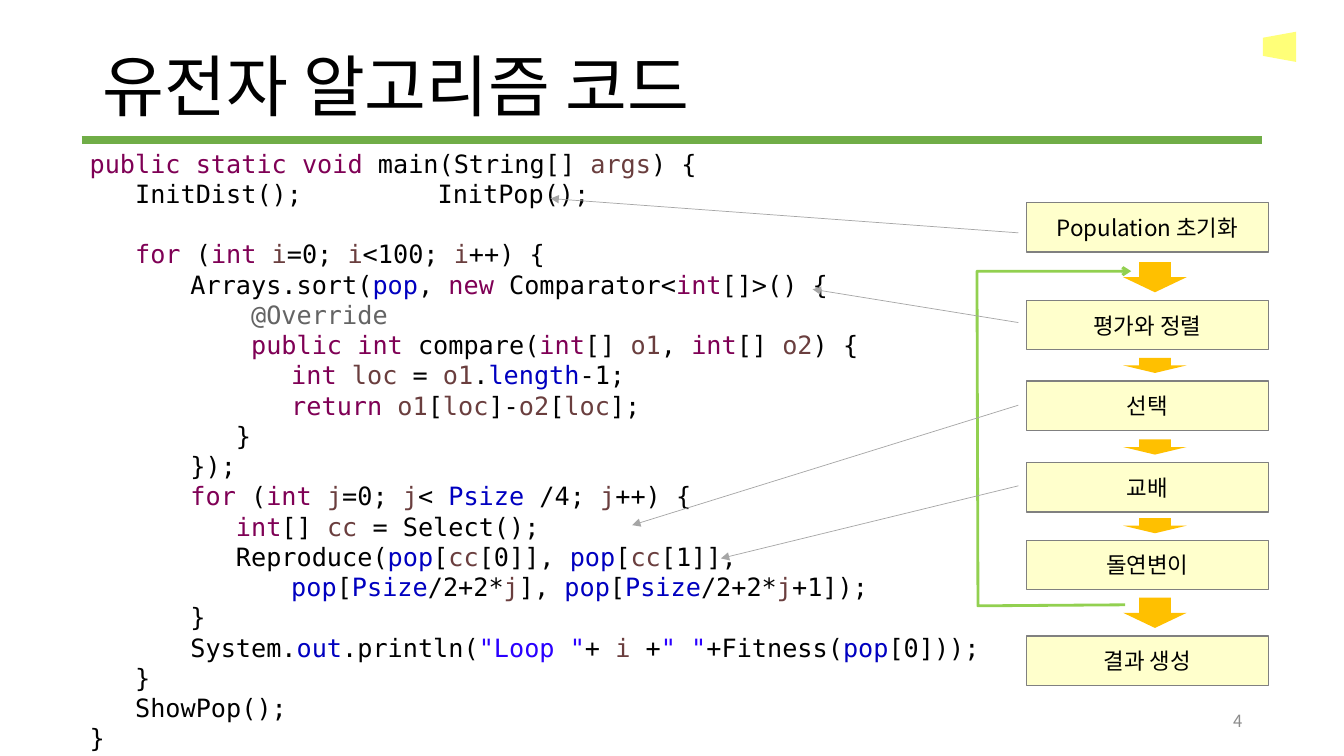
from lxml import etree
from pptx import Presentation
from pptx.dml.color import RGBColor
from pptx.enum.shapes import MSO_CONNECTOR, MSO_SHAPE
from pptx.enum.text import MSO_ANCHOR, PP_ALIGN
from pptx.oxml.ns import qn
from pptx.util import Inches, Pt

STRAIGHT = MSO_CONNECTOR.STRAIGHT
RECTANGLE = MSO_SHAPE.RECTANGLE
DOWN_ARROW = MSO_SHAPE.DOWN_ARROW
TRAPEZOID = MSO_SHAPE.FLOWCHART_MANUAL_OPERATION
LEFT, CENTER, RIGHT = PP_ALIGN.LEFT, PP_ALIGN.CENTER, PP_ALIGN.RIGHT
TOP, MIDDLE = MSO_ANCHOR.TOP, MSO_ANCHOR.MIDDLE

KOREAN_FONT = "Noto Sans CJK KR"
CODE_FONT = "DejaVu Sans Mono"
CODE_LINE = 21.6  # points from one code line to the next
# k keyword, v variable, f field, s string, a annotation
SYNTAX = {"k": "7F0055", "v": "6A3E3E", "f": "0000C0", "s": "2A00FF", "a": "646464"}

colour = RGBColor.from_string


def write(shape, text, size=18, font=KOREAN_FONT, color="000000", align=LEFT,
          anchor=MIDDLE, spacing=None):
    """Fill a shape with lines of text; ~x...~ takes the syntax colour x."""
    frame = shape.text_frame
    frame.word_wrap = True
    frame.vertical_anchor = anchor
    for number, line in enumerate(text.split("\n")):
        paragraph = frame.add_paragraph() if number else frame.paragraphs[0]
        paragraph.alignment = align
        paragraph.line_spacing = spacing
        for index, part in enumerate(line.split("~")):
            if not part:
                continue
            marked = index % 2
            run = paragraph.add_run()
            run.text = part[1:] if marked else part
            run.font.size = Pt(size)
            run.font.name = font
            run.font.color.rgb = colour(SYNTAX[part[0]] if marked else color)
            etree.SubElement(run.font._element, qn("a:ea"), typeface=font)


def style_line(shape, color, width, head=None):
    """Set a line's colour, width and end arrowhead, without a shadow."""
    shape.line.color.rgb = colour(color)
    shape.line.width = Pt(width)
    if head:
        etree.SubElement(shape.line._get_or_add_ln(), qn("a:tailEnd"), type=head)
    properties = shape._element.spPr
    if properties.find(qn("a:effectLst")) is None:
        etree.SubElement(properties, qn("a:effectLst"))


presentation = Presentation()
presentation.slide_width = Inches(13.33)
presentation.slide_height = Inches(7.5)
slide = presentation.slides.add_slide(presentation.slide_layouts[6])
shapes = slide.shapes

# Title, rule, page number and corner mark
title = shapes.add_textbox(Inches(0.92), Inches(0.4), Inches(11.5), Inches(0.99))
write(title, "유전자 알고리즘 코드", size=48, spacing=0.9)
rule = shapes.add_connector(STRAIGHT, Inches(0.81), Inches(1.39), Inches(12.52), Inches(1.39))
style_line(rule, "70AD47", 6)
page_number = shapes.add_textbox(Inches(9.42), Inches(6.95), Inches(3), Inches(0.4))
write(page_number, "4", size=12, color="8C8C8C", align=RIGHT)

corner = shapes.add_shape(TRAPEZOID, Inches(12.54), Inches(0.3), Inches(0.3), Inches(0.33))
corner.rotation = 90
corner.shadow.inherit = False
corner.fill.solid()
corner.fill.fore_color.rgb = colour("FFFF00")
corner.line.fill.background()
corner_colour = corner._element.spPr.find(qn("a:solidFill"))[0]
etree.SubElement(corner_colour, qn("a:alpha"), val="53000")

# Code listing, with a tab stop at every inch
CODE = """~kpublic static void~ main(String[] ~vargs~) {
   InitDist();\t   InitPop();
~k   for~ (~kint ~~vi~=0; ~vi~<100; ~vi~++) {
\tArrays.sort(~fpop~, ~knew~ Comparator<~kint~[]>() {
~a\t    @Override~
~k\t    public int~ compare(~kint~[] ~vo1~, ~kint~[] ~vo2~) {
~k\t\tint ~~vloc~ = ~vo1~.~flength~-1;
~k\t\treturn ~~vo1~[~vloc~]-~vo2~[~vloc~];
\t   }
   \t});
~k   \tfor~ (~kint ~~vj~=0; ~vj~< ~fPsize~ /4; ~vj~++) {
~k\t   int~[] ~vcc~ = Select();
\t   Reproduce(~fpop~[~vcc~[0]], ~fpop~[~vcc~[1]],
\t\t~fpop~[~fPsize~/2+2*~vj~], ~fpop~[~fPsize~/2+2*~vj~+1]);
   \t}
   \tSystem.~fout~.println(~s"Loop "~+ ~vi~ +~s" "~+Fitness(~fpop~[0]));
   }
   ShowPop();
}"""
listing = shapes.add_textbox(Inches(0.79), Inches(1.42), Inches(11.58), Inches(6.16))
write(listing, CODE, font=CODE_FONT, anchor=TOP, spacing=Pt(CODE_LINE))
listing.text_frame.paragraphs[2].space_before = Pt(CODE_LINE)
for paragraph in listing.text_frame.paragraphs:
    tab_stops = etree.SubElement(paragraph._p.get_or_add_pPr(), qn("a:tabLst"))
    for inch in (1, 2, 3):
        etree.SubElement(tab_stops, qn("a:tab"), pos=str(Inches(inch)), algn="l")

# Flow chart: label, top of the box, top and height of the arrow below
BOX_LEFT, BOX_WIDTH, BOX_HEIGHT = 10.18, 2.4, 0.49
ARROW_LEFT, ARROW_WIDTH = 11.14, 0.63
steps = [
    ("Population 초기화", 2.01, 2.6, 0.3),
    ("평가와 정렬", 2.98, 3.55, 0.15),
    ("선택", 3.78, 4.36, 0.15),
    ("교배", 4.59, 5.14, 0.15),
    ("돌연변이", 5.36, 5.93, 0.3),
    ("결과 생성", 6.31, None, None),
]
for label, top, arrow_top, arrow_height in steps:
    box = shapes.add_shape(RECTANGLE, Inches(BOX_LEFT), Inches(top),
                           Inches(BOX_WIDTH), Inches(BOX_HEIGHT))
    box.fill.solid()
    box.fill.fore_color.rgb = colour("FFFFCC")
    style_line(box, "808080", 1)
    write(box, label, size=16, align=CENTER)
    if arrow_top:
        arrow = shapes.add_shape(DOWN_ARROW, Inches(ARROW_LEFT), Inches(arrow_top),
                                 Inches(ARROW_WIDTH), Inches(arrow_height))
        arrow.shadow.inherit = False
        arrow.fill.solid()
        arrow.fill.fore_color.rgb = colour("FFC000")
        arrow.line.fill.background()

# Loop from mutation back to evaluation
outline = shapes.build_freeform(Inches(11.16), Inches(6))
outline.add_line_segments(
    [(Inches(x), Inches(y)) for x, y in [(9.7, 6.01), (9.69, 2.69), (11.22, 2.69)]],
    close=False)
loop = outline.convert_to_shape()
loop.fill.background()
style_line(loop, "92D050", 2, head="arrow")

# Pointers from the steps to their code: start height, end point
POINTER_LEFT = 10.1
for start_y, end_x, end_y in [(3.2, 8.06, 2.87), (4.02, 6.27, 5.21),
                              (4.82, 7.15, 5.54), (2.31, 5.46, 1.97)]:
    pointer = shapes.add_connector(STRAIGHT, Inches(POINTER_LEFT), Inches(start_y),
                                   Inches(end_x), Inches(end_y))
    style_line(pointer, "A6A6A6", 0.5, head="triangle")

presentation.save("out.pptx")
